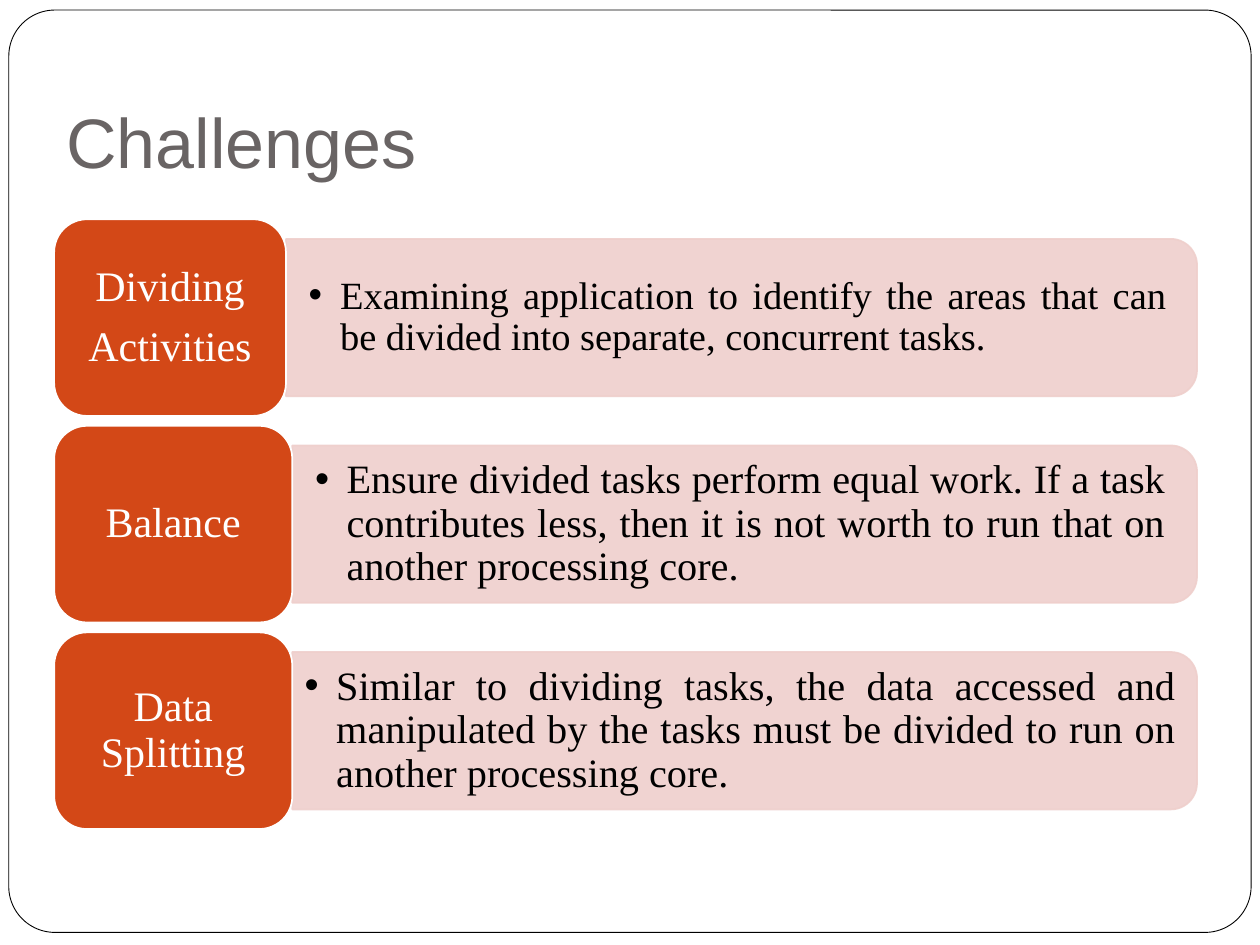
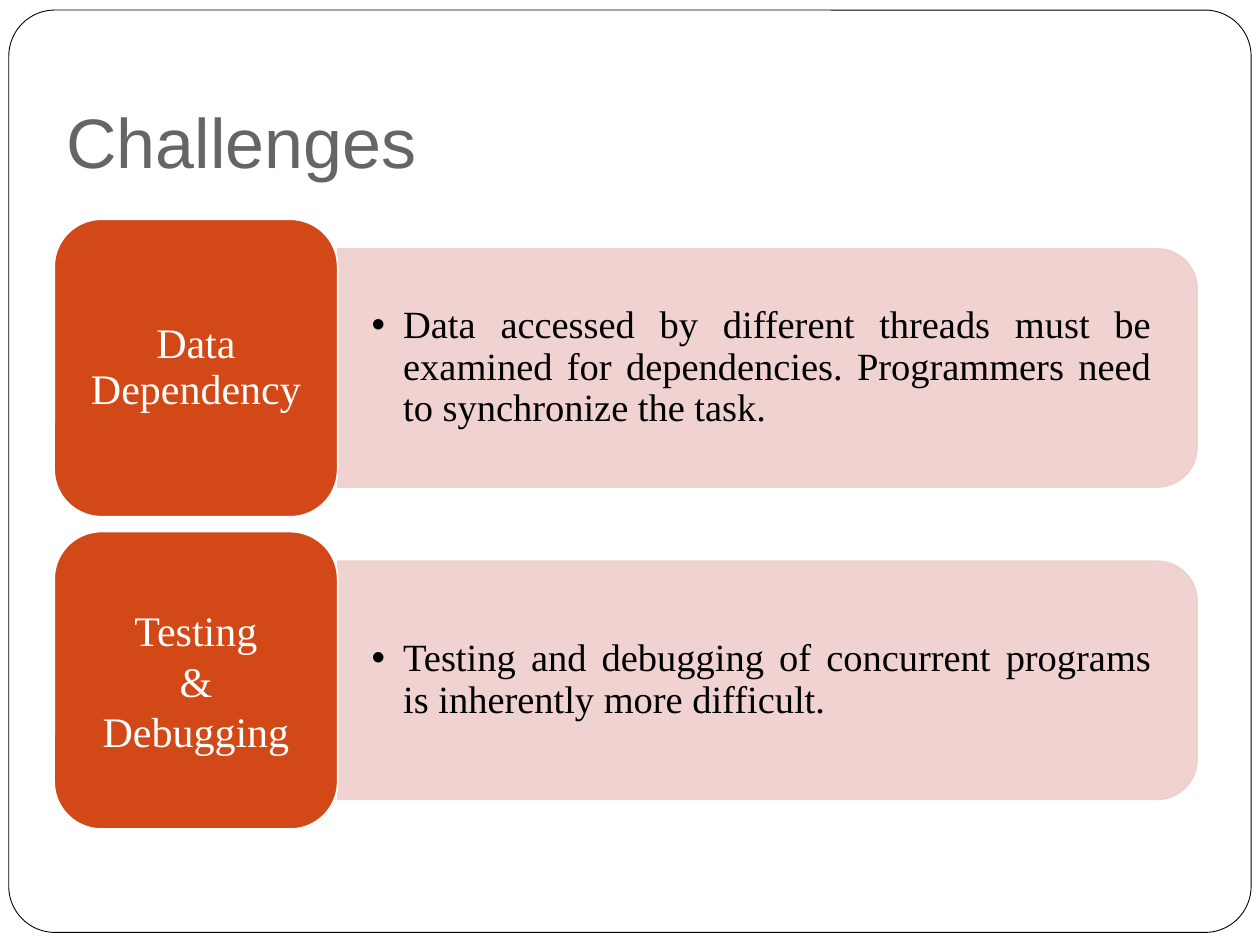
from lxml import etree
from pptx import Presentation
from pptx.dml.color import RGBColor
from pptx.enum.shapes import MSO_SHAPE
from pptx.enum.text import MSO_ANCHOR, PP_ALIGN
from pptx.oxml.ns import qn
from pptx.util import Inches, Pt

ROUNDED, TOP_ROUNDED = MSO_SHAPE.ROUNDED_RECTANGLE, MSO_SHAPE.ROUND_2_SAME_RECTANGLE
MIDDLE, BOTTOM = MSO_ANCHOR.MIDDLE, MSO_ANCHOR.BOTTOM
LEFT, CENTER, JUSTIFY = PP_ALIGN.LEFT, PP_ALIGN.CENTER, PP_ALIGN.JUSTIFY

BLACK = RGBColor(0x00, 0x00, 0x00)
WHITE = RGBColor(0xFF, 0xFF, 0xFF)
GREY = RGBColor(0x69, 0x64, 0x64)
ORANGE = RGBColor(0xD3, 0x48, 0x17)
PINK = RGBColor(0xEF, 0xCF, 0xCC)

# The grid has 100 columns and 75 rows of square cells.
CELL = Inches(0.1)
LIST_LEFT, LIST_RIGHT = 4.3, 95
LIST_TOP, LIST_HEIGHT = 17.4, 48.4
GAP_SHARE = 0.05      # gap between rows, as a share of the row height
BAR_SHARE = 0.8       # bar height, as a share of the row height
CORNER_SHARE = 0.05   # room kept for the rounded corners of a bar

TITLE_FONT = dict(name="Arial", size=Pt(40), color=GREY)
TAB_FONT = dict(name="Times New Roman", size=Pt(24), color=WHITE)
BODY_FONT = dict(name="Times New Roman", color=BLACK)
TITLE_PARA = dict(alignment=LEFT)
TAB_PARA = dict(alignment=CENTER, line_spacing=0.9, space_after=Pt(8.4))
LOOSE_PARA = dict(alignment=CENTER, line_spacing=1.0, space_after=Pt(0))
BODY_PARA = dict(alignment=JUSTIFY, line_spacing=0.9, level=1)

# Each row: tab lines, tab paragraph format, tab width, body text, size, side inset
ACTIVITY_ROWS = [
    (["Dividing", "Activities"], TAB_PARA, 18.4,
     "Examining application to identify the areas that can be divided into "
     "separate, concurrent tasks.", 22, 1.8),
    (["Balance"], TAB_PARA, 18.9,
     "Ensure divided tasks perform equal work. If a task contributes less, "
     "then it is not worth to run that on another processing core.", 23, 1.8),
    (["Data Splitting"], TAB_PARA, 18.9,
     "Similar to dividing tasks, the data accessed and manipulated by the "
     "tasks must be divided to run on another processing core.", 23, 1),
]
DEPENDENCY_ROWS = [
    (["Data Dependency"], TAB_PARA, 22.5,
     "Data accessed by different threads must be examined for dependencies. "
     "Programmers need to synchronize the task.", 22, 2.7),
    (["Testing", "&", "Debugging"], LOOSE_PARA, 22.5,
     "Testing and debugging of concurrent programs is inherently more "
     "difficult.", 22, 2.7),
]


def cells(*counts):
    """Turn counts of grid cells into lengths."""
    return [round(count * CELL) for count in counts]


def set_all(target, values):
    for name, value in values.items():
        setattr(target, name, value)


def add_bullet(para):
    properties = para._p.get_or_add_pPr()
    properties.set("marL", str(Inches(0.25)))
    properties.set("indent", str(-Inches(0.25)))
    etree.SubElement(properties, qn("a:buFont"), typeface="Arial")
    etree.SubElement(properties, qn("a:buChar"), char="•")


def make_translucent(shape, percent):
    for color in shape._element.spPr.findall(".//" + qn("a:srgbClr")):
        etree.SubElement(color, qn("a:alpha"), val=str(percent * 1000))


class ChallengeDeck:
    def __init__(self):
        self.deck = Presentation()
        self.deck.slide_width, self.deck.slide_height = cells(100, 75)
        self.page = None

    def new_page(self, title):
        self.page = self.deck.slides.add_slide(self.deck.slide_layouts[6])
        frame = self.shape(ROUNDED, (0.7, 0.8, 98.6, 73.2), WHITE, BLACK, 0.5)
        frame.adjustments[0] = 0.05
        self.text_box((4.3, 3, 90.7, 12.5), [title], (1, 0.5, 1, 1), BOTTOM,
                      TITLE_PARA, TITLE_FONT)

    def shape(self, kind, place, fill, line, width=1):
        box = self.page.shapes.add_shape(kind, *cells(*place))
        box.shadow.inherit = False
        box.fill.solid()
        box.fill.fore_color.rgb = fill
        box.line.color.rgb = line
        box.line.width = Pt(width)
        return box

    def fill_text(self, box, lines, insets, anchor, para_format, font, bullet=False):
        frame = box.text_frame
        left, top, right, bottom = cells(*insets)
        set_all(frame, dict(word_wrap=True, vertical_anchor=anchor,
                            margin_left=left, margin_top=top,
                            margin_right=right, margin_bottom=bottom))
        for index, line in enumerate(lines):
            para = frame.add_paragraph() if index else frame.paragraphs[0]
            set_all(para, para_format)
            if bullet:
                add_bullet(para)
            span = para.add_run()
            span.text = line
            values = dict(font)
            span.font.color.rgb = values.pop("color")
            set_all(span.font, values)

    def text_box(self, place, *text_arguments, **options):
        box = self.page.shapes.add_textbox(*cells(*place))
        self.fill_text(box, *text_arguments, **options)

    def bar(self, left, top, width, height):
        """Draw a translucent bar, rounded on its right by a quarter turn."""
        middle_x, middle_y = left + width / 2, top + height / 2
        bar = self.shape(TOP_ROUNDED, (middle_x - height / 2, middle_y - width / 2,
                                       height, width), PINK, PINK)
        bar.rotation = 90
        make_translucent(bar, 90)

    def row(self, top, height, labels, label_format, tab_width, body, size, inset):
        bar_left = LIST_LEFT + tab_width
        bar_width = LIST_RIGHT - bar_left
        bar_height = BAR_SHARE * height
        bar_top = top + (height - bar_height) / 2
        corner = CORNER_SHARE * bar_height
        self.bar(bar_left, bar_top, bar_width, bar_height)
        self.text_box((bar_left, bar_top + corner, bar_width - corner,
                       bar_height - 2 * corner), [body],
                      (inset, inset / 2, inset, inset / 2), MIDDLE, BODY_PARA,
                      dict(BODY_FONT, size=Pt(size)), bullet=True)
        tab = self.shape(ROUNDED, (LIST_LEFT, top, tab_width, height), ORANGE, WHITE)
        self.fill_text(tab, labels, (0.5, 0.5, 0.5, 0.5), MIDDLE, label_format, TAB_FONT)

    def rows(self, entries):
        """Share the list's height among the rows and the gaps between them."""
        count = len(entries)
        height = LIST_HEIGHT / (count + GAP_SHARE * (count - 1))
        for index, entry in enumerate(entries):
            self.row(LIST_TOP + index * height * (1 + GAP_SHARE), height, *entry)


def main():
    challenges = ChallengeDeck()
    for entries in (ACTIVITY_ROWS, DEPENDENCY_ROWS):
        challenges.new_page("Challenges")
        challenges.rows(entries)
    challenges.deck.save("out.pptx")


if __name__ == "__main__":
    main()
